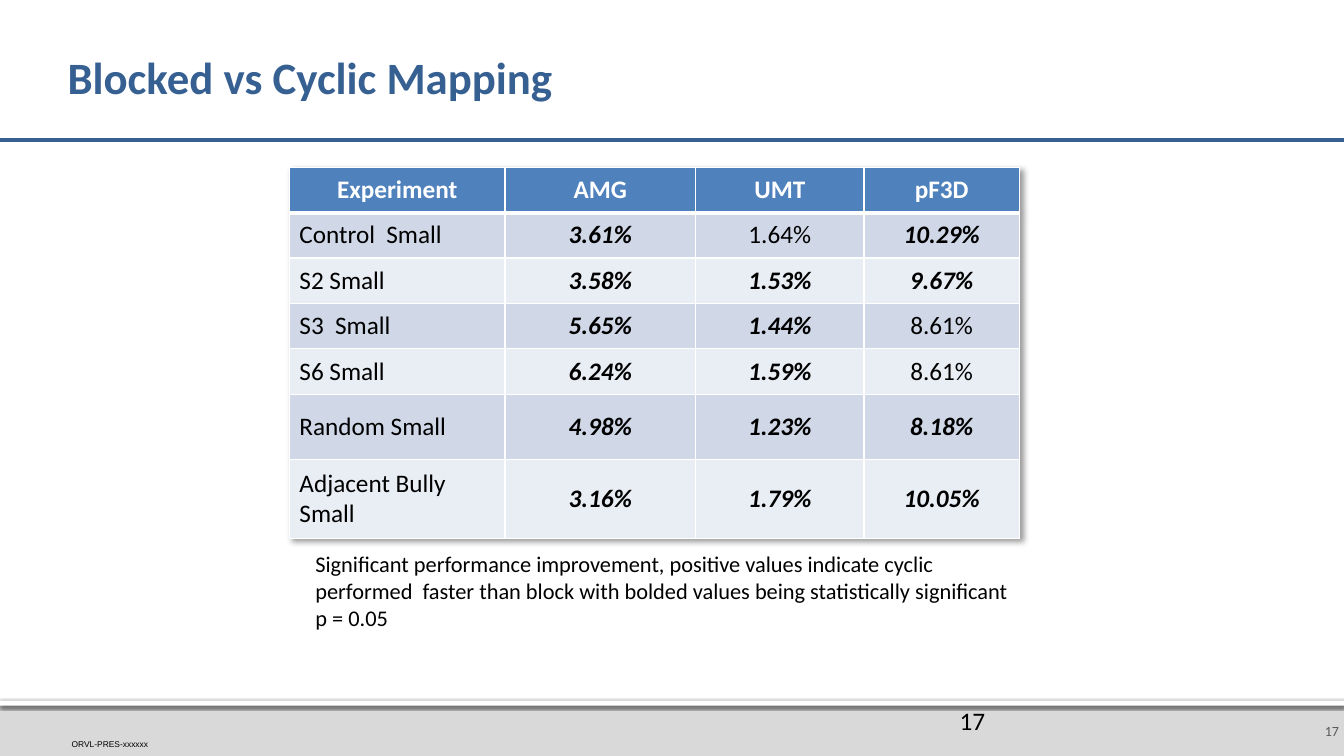
from dataclasses import dataclass

import lxml.etree
import pptx
import pptx.dml.color
import pptx.enum.shapes
import pptx.enum.text
import pptx.oxml.ns
import pptx.shapes.autoshape
import pptx.slide
import pptx.table
import pptx.text.text
import pptx.util

WIDTH = pptx.util.Inches(13.33)
HEIGHT = pptx.util.Inches(7.5)
ALIGN = pptx.enum.text.PP_ALIGN
ANCHOR = pptx.enum.text.MSO_ANCHOR


@dataclass(frozen=True)
class Theme:
    font: str = "Calibri"
    small_font: str = "Arial"
    title: str = "376092"
    header: str = "4F81BD"
    bands: tuple[str, str] = ("D0D8E8", "E9EDF4")
    footer: str = "D9D9D9"
    muted: str = "595959"
    black: str = "000000"
    white: str = "FFFFFF"
    title_size: float = 32
    table_size: float = 18
    note_size: float = 16
    number_size: float = 10
    tiny_size: float = 6


THEME = Theme()


@dataclass(frozen=True)
class Box:
    """A rectangle in percent of the slide's width and height."""
    x: float
    y: float
    w: float
    h: float

    def emu(self) -> tuple[int, int, int, int]:
        return across(self.x), down(self.y), across(self.w), down(self.h)


@dataclass(frozen=True)
class Label:
    box: Box
    paragraphs: tuple[str, ...]
    size: float
    color: str = THEME.black
    font: str = THEME.font
    align: ALIGN = ALIGN.LEFT
    anchor: ANCHOR = ANCHOR.TOP
    insets: tuple[float, float, float, float] = (0.1, 0.05, 0.1, 0.05)


@dataclass(frozen=True)
class Experiment:
    name: str
    gains: tuple[str, str, str]
    not_significant: str = ""
    height: float = 6


TITLE_BOX = Box(5.03, 3.2, 90, 14.67)
RULE_Y = 18.53
FOOTER_BARS = ((Box(0, 92.67, 100, 7.33), THEME.footer),
               (Box(0, 92.67, 100, 0.67), THEME.white))
LABELS = (
    Label(Box(96.55, 93.33, 3.45, 6.67), ("17",), THEME.number_size, THEME.muted,
          align=ALIGN.RIGHT, anchor=ANCHOR.MIDDLE, insets=(0.1, 0.05, 0.05, 0.05)),
    Label(Box(5.33, 97.73, 9.53, 1.33), ("ORVL-PRES-xxxxxx",), THEME.tiny_size,
          font=THEME.small_font, anchor=ANCHOR.BOTTOM, insets=(0, 0, 0, 0)),
    Label(Box(70.67, 92.67, 22.5, 5.33), ("17",), THEME.table_size),
    Label(Box(22.73, 72.13, 53.04, 15.73),
          ("Significant performance improvement, positive values indicate cyclic "
           "performed  faster than block with bolded values being statistically significant",
           "p = 0.05"), THEME.note_size),
)
TABLE_X, TABLE_Y = 21.53, 22.13
COLUMN_WIDTHS = (16.05, 14.18, 12.53, 11.55)
HEADER_HEIGHT = 6
HEADINGS = ("Experiment", "AMG", "UMT", "pF3D")
EXPERIMENTS = (
    Experiment("Control  Small", ("3.61%", "1.64%", "10.29%"), "1.64%"),
    Experiment("S2 Small", ("3.58%", "1.53%", "9.67%")),
    Experiment("S3  Small", ("5.65%", "1.44%", "8.61%"), "8.61%"),
    Experiment("S6 Small", ("6.24%", "1.59%", "8.61%"), "8.61%"),
    Experiment("Random Small", ("4.98%", "1.23%", "8.18%"), height=8.67),
    Experiment("Adjacent Bully Small", ("3.16%", "1.79%", "10.05%"), height=10.4),
)


def across(percent: float) -> int:
    return round(WIDTH * percent / 100)


def down(percent: float) -> int:
    return round(HEIGHT * percent / 100)


def rgb(color: str) -> pptx.dml.color.RGBColor:
    return pptx.dml.color.RGBColor.from_string(color)


def sub(parent, tag: str, **attributes: str):
    return lxml.etree.SubElement(parent, pptx.oxml.ns.qn(tag), attributes)


def add_shadow(effects, blur: float, dist: float, degrees: int, opacity: int) -> None:
    shadow = sub(effects, "a:outerShdw", blurRad=str(pptx.util.Pt(blur)),
                 dist=str(pptx.util.Pt(dist)), dir=str(degrees * 60000),
                 algn="tl", rotWithShape="0")
    sub(sub(shadow, "a:srgbClr", val=THEME.black), "a:alpha", val=str(opacity * 1000))


def add_run(p, text: str, size: float, color: str, font: str = THEME.font,
            bold: bool = False, italic: bool = False) -> None:
    r = p.add_run()
    r.text = text
    r.font.name, r.font.size = font, pptx.util.Pt(size)
    r.font.bold, r.font.italic = bold, italic
    r.font.color.rgb = rgb(color)


def set_frame(tf: pptx.text.text.TextFrame, anchor: ANCHOR,
              insets: tuple[float, float, float, float]) -> None:
    tf.word_wrap = True
    tf.auto_size = pptx.enum.text.MSO_AUTO_SIZE.NONE
    tf.vertical_anchor = anchor
    tf.margin_left, tf.margin_top, tf.margin_right, tf.margin_bottom = map(
        pptx.util.Inches, insets)


def add_title(s: pptx.slide.Slide) -> None:
    sp = s.shapes.title
    sp.left, sp.top, sp.width, sp.height = TITLE_BOX.emu()
    set_frame(sp.text_frame, ANCHOR.MIDDLE, (0, 0.05, 0.05, 0.05))
    p = sp.text_frame.paragraphs[0]
    p.alignment, p.line_spacing = ALIGN.LEFT, 0.9
    add_run(p, "Blocked vs Cyclic Mapping", THEME.title_size, THEME.title, bold=True)


def add_bar(s: pptx.slide.Slide, box: Box, color: str) -> pptx.shapes.autoshape.Shape:
    sp = s.shapes.add_shape(pptx.enum.shapes.MSO_SHAPE.RECTANGLE, *box.emu())
    sp.shadow.inherit = False
    sp.fill.solid()
    sp.fill.fore_color.rgb = rgb(color)
    sp.line.fill.background()
    return sp


def add_rule(s: pptx.slide.Slide) -> None:
    y = down(RULE_Y)
    line = s.shapes.add_connector(pptx.enum.shapes.MSO_CONNECTOR.STRAIGHT, 0, y, WIDTH, y)
    line.line.color.rgb = rgb(THEME.title)
    line.line.width = pptx.util.Pt(3)
    sub(line.element.spPr, "a:effectLst")


def add_label(s: pptx.slide.Slide, label: Label) -> None:
    tf = s.shapes.add_textbox(*label.box.emu()).text_frame
    set_frame(tf, label.anchor, label.insets)
    for i, text in enumerate(label.paragraphs):
        p = tf.add_paragraph() if i else tf.paragraphs[0]
        p.alignment = label.align
        add_run(p, text, label.size, label.color, label.font)


def style_cell(cell: pptx.table._Cell, fill: str, top: float, bottom: float) -> None:
    """Set anchor, fill and white borders; top and bottom are widths in points."""
    cell.vertical_anchor = ANCHOR.MIDDLE
    tc_pr = cell._tc.get_or_add_tcPr()
    for side, width in (("L", 1), ("R", 1), ("T", top), ("B", bottom)):
        border = sub(tc_pr, f"a:ln{side}", w=str(pptx.util.Pt(width)))
        sub(sub(border, "a:solidFill"), "a:srgbClr", val=THEME.white)
    cell.fill.solid()
    cell.fill.fore_color.rgb = rgb(fill)


def add_results(s: pptx.slide.Slide) -> None:
    heights = (HEADER_HEIGHT, *(e.height for e in EXPERIMENTS))
    box = Box(TABLE_X, TABLE_Y, sum(COLUMN_WIDTHS), sum(heights))
    table = s.shapes.add_table(len(heights), len(COLUMN_WIDTHS), *box.emu()).table
    effects = sub(table._tbl.tblPr, "a:effectLst")
    table._tbl.tblPr.insert(0, effects)
    add_shadow(effects, 4, 3, 45, 40)
    for column, width in zip(table.columns, COLUMN_WIDTHS):
        column.width = across(width)
    for row, height in zip(table.rows, heights):
        row.height = down(height)

    for j, heading in enumerate(HEADINGS):
        cell = table.cell(0, j)
        style_cell(cell, THEME.header, 1, 3)
        p = cell.text_frame.paragraphs[0]
        p.alignment = ALIGN.CENTER
        add_run(p, heading, THEME.table_size, THEME.white, bold=True)
    for i, e in enumerate(EXPERIMENTS, 1):
        for j, text in enumerate((e.name, *e.gains)):
            cell = table.cell(i, j)
            style_cell(cell, THEME.bands[(i - 1) % 2], 3 if i == 1 else 1, 1)
            p = cell.text_frame.paragraphs[0]
            p.alignment = ALIGN.CENTER if j else ALIGN.LEFT
            strong = j > 0 and text != e.not_significant
            add_run(p, text, THEME.table_size, THEME.black, bold=strong, italic=strong)


def main() -> None:
    prs = pptx.Presentation()
    prs.slide_width, prs.slide_height = WIDTH, HEIGHT
    s = prs.slides.add_slide(prs.slide_layouts[5])
    bars = [add_bar(s, box, color) for box, color in FOOTER_BARS]
    add_shadow(bars[-1].element.spPr.find(pptx.oxml.ns.qn("a:effectLst")), 2.5, 0.8, 90, 60)
    add_rule(s)
    add_title(s)
    add_results(s)
    for label in LABELS:
        add_label(s, label)
    prs.save("out.pptx")


if __name__ == "__main__":
    main()
